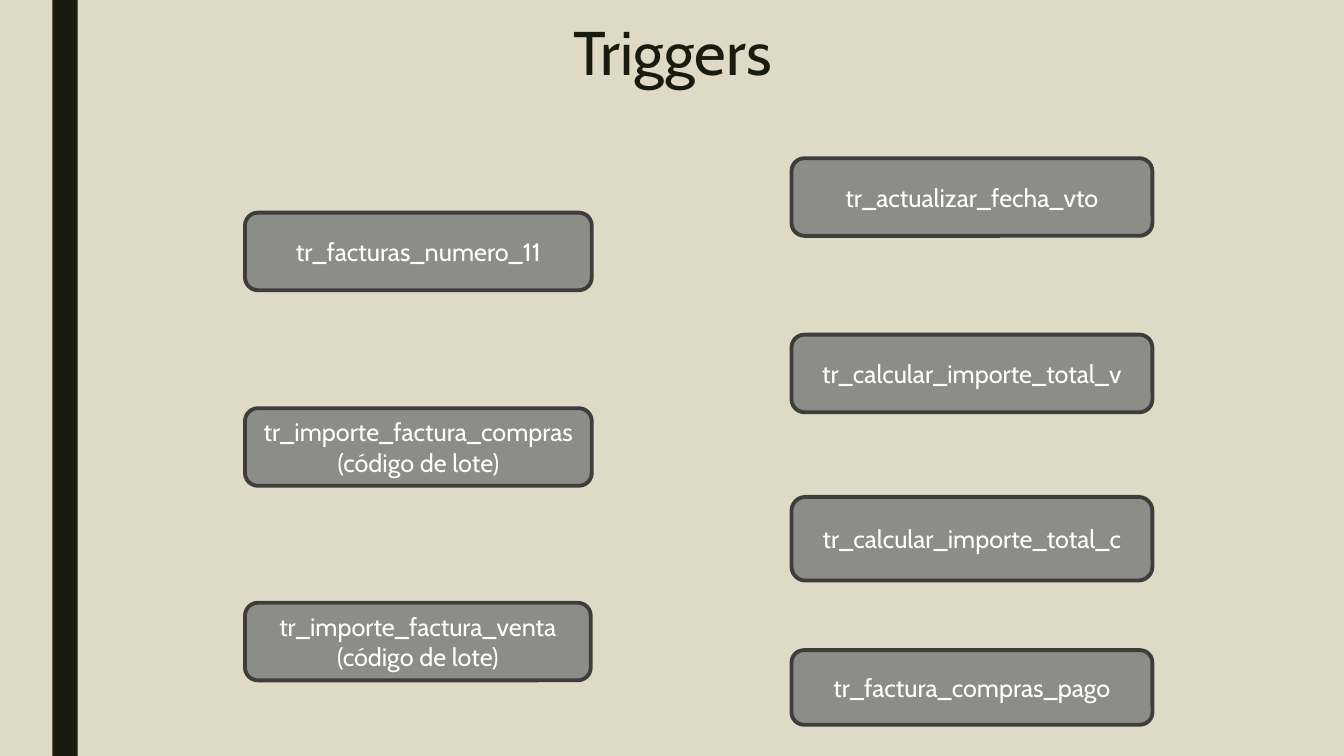
from dataclasses import dataclass

from pptx import Presentation
from pptx.dml.color import RGBColor
from pptx.enum.shapes import MSO_SHAPE as SHAPE
from pptx.enum.text import MSO_ANCHOR as ANCHOR, PP_ALIGN as ALIGN
from pptx.util import Inches, Pt

FONT = "Cabin"
DARK, SAND, GRAY, EDGE, WHITE = "191B0E", "DEDAC5", "8C8D86", "3D3E3B", "FFFFFF"


@dataclass
class Trigger:
    """A named trigger box with its place and size in inches."""
    left: float
    top: float
    width: float
    height: float
    lines: list[str]


LOT = "(código de lote)"
TRIGGERS = [
    Trigger(2.43, 2.11, 3.44, 0.77, ["tr_facturas_numero_11"]),
    Trigger(2.43, 4.05, 3.44, 0.77, ["tr_importe_factura_compras", LOT]),
    Trigger(2.43, 5.98, 3.43, 0.77, ["tr_importe_factura_venta", LOT]),
    Trigger(7.85, 1.57, 3.58, 0.77, ["tr_actualizar_fecha_vto"]),
    Trigger(7.85, 3.32, 3.58, 0.77, ["tr_calcular_importe_total_v"]),
    Trigger(7.85, 4.93, 3.58, 0.83, ["tr_calcular_importe_total_c"]),
    Trigger(7.85, 6.45, 3.58, 0.74, ["tr_factura_compras_pago"]),
]


def rgb(color: str) -> RGBColor:
    """Turn a hex string into a colour."""
    return RGBColor.from_string(color)


def write(sp, lines: list[str], *, size: float, color: str,
          anchor=ANCHOR.MIDDLE, spacing: float = 1.0) -> None:
    """Write centred lines into a shape, one paragraph each."""
    tf = sp.text_frame
    tf.word_wrap = True
    tf.vertical_anchor = anchor
    for i, line in enumerate(lines):
        p = tf.add_paragraph() if i else tf.paragraphs[0]
        p.alignment = ALIGN.CENTER
        p.line_spacing = spacing
        r = p.add_run()
        r.text = line
        r.font.name = FONT
        r.font.size = Pt(size)
        r.font.color.rgb = rgb(color)


def add_bar(s) -> None:
    """Draw the dark vertical bar at the left."""
    sp = s.shapes.add_shape(SHAPE.RECTANGLE, Inches(0.52), 0, Inches(0.25), Inches(7.5))
    sp.shadow.inherit = False
    sp.fill.solid()
    sp.fill.fore_color.rgb = rgb(DARK)
    sp.line.fill.background()


def add_title(s, text: str) -> None:
    """Draw the slide title."""
    sp = s.shapes.add_textbox(Inches(1.42), Inches(0.18), Inches(10.5), Inches(0.97))
    write(sp, [text], size=44, color=DARK, anchor=ANCHOR.TOP, spacing=0.89)


def add_trigger(s, t: Trigger) -> None:
    """Draw one trigger box."""
    sp = s.shapes.add_shape(SHAPE.ROUNDED_RECTANGLE, Inches(t.left), Inches(t.top),
                            Inches(t.width), Inches(t.height))
    sp.shadow.inherit = False
    sp.fill.solid()
    sp.fill.fore_color.rgb = rgb(GRAY)
    sp.line.color.rgb = rgb(EDGE)
    sp.line.width = Pt(2.75)
    write(sp, t.lines, size=18, color=WHITE)


def main() -> None:
    """Build and save the slide."""
    prs = Presentation()
    prs.slide_width, prs.slide_height = Inches(13.33), Inches(7.5)
    s = prs.slides.add_slide(prs.slide_layouts[6])
    s.background.fill.solid()
    s.background.fill.fore_color.rgb = rgb(SAND)
    add_bar(s)
    add_title(s, "Triggers")
    for t in TRIGGERS:
        add_trigger(s, t)
    prs.save("out.pptx")


if __name__ == "__main__":
    main()
